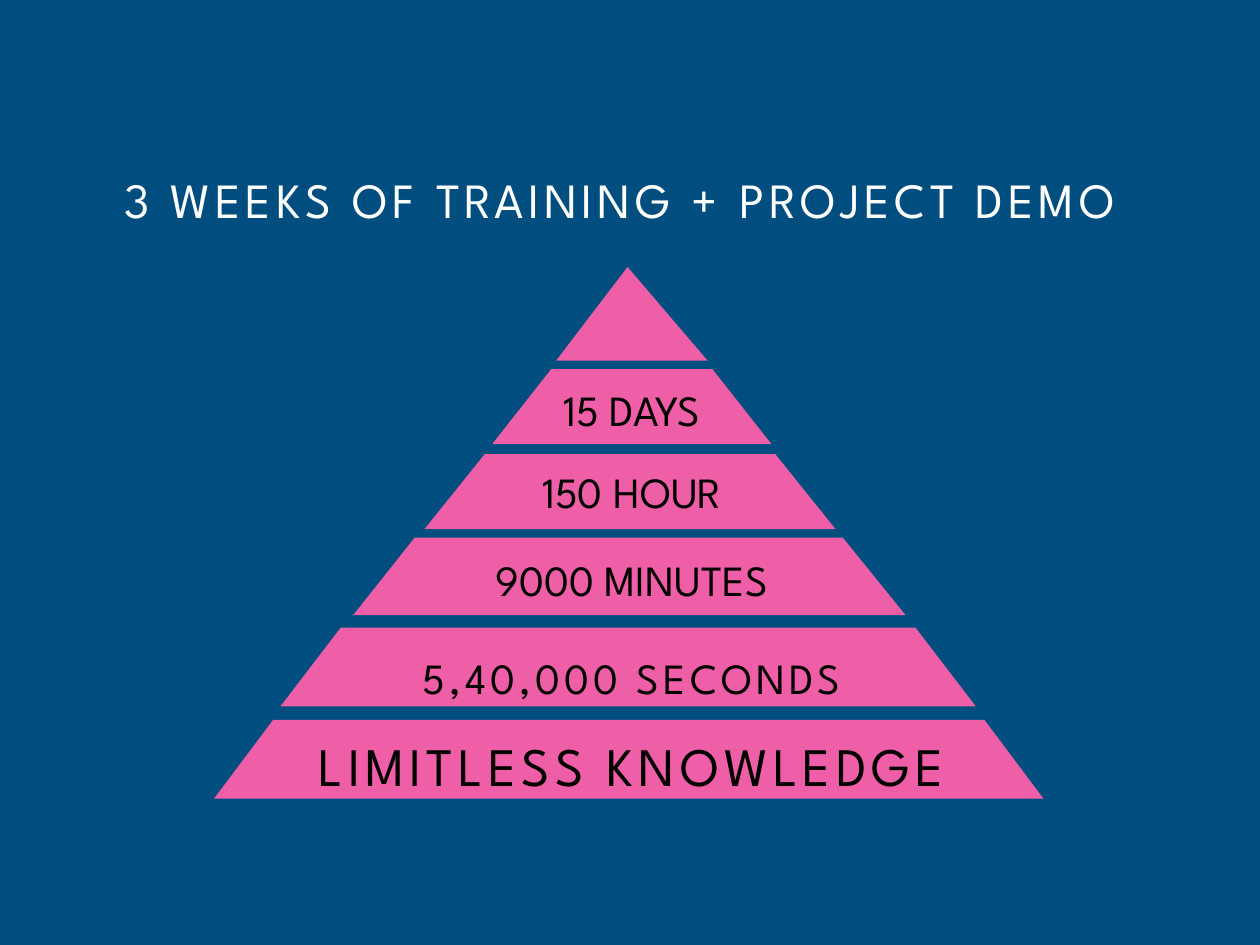
"""Build the training pyramid slide."""
import dataclasses
import typing

import pptx
import pptx.dml.color
import pptx.enum.text
import pptx.util

Pt = pptx.util.Pt
ANCHOR = pptx.enum.text.MSO_ANCHOR
COLOURS = {"background": "004D80", "tier": "EF5FA7", "title": "FFFFFF", "label": "000000"}
FONT = "League Spartan"
LABEL_LEFT, LABEL_WIDTH = 137.5, 752


@dataclasses.dataclass(frozen=True)
class Tier:
    """Outline of one pyramid layer, clockwise from its lower left corner."""

    bottom_left: float
    top_left: float
    top_right: float
    bottom_right: float
    top: float
    bottom: float


@dataclasses.dataclass(frozen=True)
class Label:
    """Wording, place and lettering of one pyramid label."""

    wording: str
    top: float
    height: float
    size: float = 35
    tracking: float = 0
    line_spacing: float = 1
    inset: float = 3.6
    anchor: typing.Any = ANCHOR.TOP


TIERS = [
    Tier(452.2, 510.5, 510.5, 575.3, 217.4, 293),
    Tier(399.6, 447.8, 578.9, 627.1, 300.2, 360.7),
    Tier(344.9, 393.8, 630, 679, 369.4, 429.8),
    Tier(286.6, 337, 685.4, 735.8, 437, 500.4),
    Tier(227.5, 277.2, 743.8, 793.4, 510.5, 573.8),
    Tier(173.5, 221.8, 799.9, 848.2, 584.6, 648.7),
]
LABELS = [
    Label("15 DAYS", 308.2, 49.7),
    Label("150 HOUR", 374.4, 49.7),
    Label("9000 MINUTES", 446.4, 49.7),
    Label("5,40,000 SECONDS", 527, 41.8, 35, 3.3, 1.1, 0, ANCHOR.MIDDLE),
    Label("LIMITLESS KNOWLEDGE", 592.6, 53.3, 44, 4.1, 1.1, 0, ANCHOR.MIDDLE),
]


def colour(part: str) -> pptx.dml.color.RGBColor:
    """Return the colour of a slide part."""
    return pptx.dml.color.RGBColor.from_string(COLOURS[part])


def write(frame: typing.Any, wording: str, part: str, size: float,
          tracking: float, line_spacing: float, inset: float, anchor: typing.Any) -> None:
    """Write one centred line into a text frame."""
    frame.text = wording
    frame.word_wrap = True
    frame.auto_size = pptx.enum.text.MSO_AUTO_SIZE.NONE
    frame.vertical_anchor = anchor
    frame.margin_left = frame.margin_right = Pt(inset)
    frame.margin_top = frame.margin_bottom = Pt(inset)
    paragraph = frame.paragraphs[0]
    paragraph.alignment = pptx.enum.text.PP_ALIGN.CENTER
    paragraph.line_spacing = line_spacing
    font = paragraph.runs[0].font
    font.name, font.size, font.bold = FONT, Pt(size), False
    font.color.rgb = colour(part)
    if tracking:
        paragraph.runs[0]._r.get_or_add_rPr().set("spc", str(round(tracking * 100)))


def draw_title(slide: typing.Any) -> None:
    """Fill the title placeholder."""
    title = slide.shapes.title
    title.left, title.top, title.width, title.height = Pt(0), Pt(114.5), Pt(1024), Pt(129)
    write(title.text_frame, "3 WEEKS OF TRAINING + PROJECT DEMO", "title",
          40, 3.8, 1.1, 0, ANCHOR.MIDDLE)
    title.text_frame.margin_right = Pt(16)
    title.text_frame.margin_bottom = Pt(40)


def draw_tier(slide: typing.Any, tier: Tier) -> None:
    """Draw one pyramid layer."""
    builder = slide.shapes.build_freeform(tier.bottom_left, tier.bottom, scale=Pt(1))
    builder.add_line_segments([
        (tier.top_left, tier.top),
        (tier.top_right, tier.top),
        (tier.bottom_right, tier.bottom),
    ])
    layer = builder.convert_to_shape()
    layer.shadow.inherit = False
    layer.fill.solid()
    layer.fill.fore_color.rgb = colour("tier")
    layer.line.fill.background()


def draw_label(slide: typing.Any, label: Label) -> None:
    """Draw one pyramid label."""
    box = slide.shapes.add_textbox(Pt(LABEL_LEFT), Pt(label.top), Pt(LABEL_WIDTH), Pt(label.height))
    write(box.text_frame, label.wording, "label", label.size, label.tracking,
          label.line_spacing, label.inset, label.anchor)


def main() -> None:
    """Build and save the slide."""
    deck = pptx.Presentation()
    deck.slide_width, deck.slide_height = Pt(1024), Pt(768)
    slide = deck.slides.add_slide(deck.slide_layouts[5])
    slide.background.fill.solid()
    slide.background.fill.fore_color.rgb = colour("background")
    draw_title(slide)
    for tier in TIERS:
        draw_tier(slide, tier)
    for label in LABELS:
        draw_label(slide, label)
    deck.save("out.pptx")


if __name__ == "__main__":
    main()
